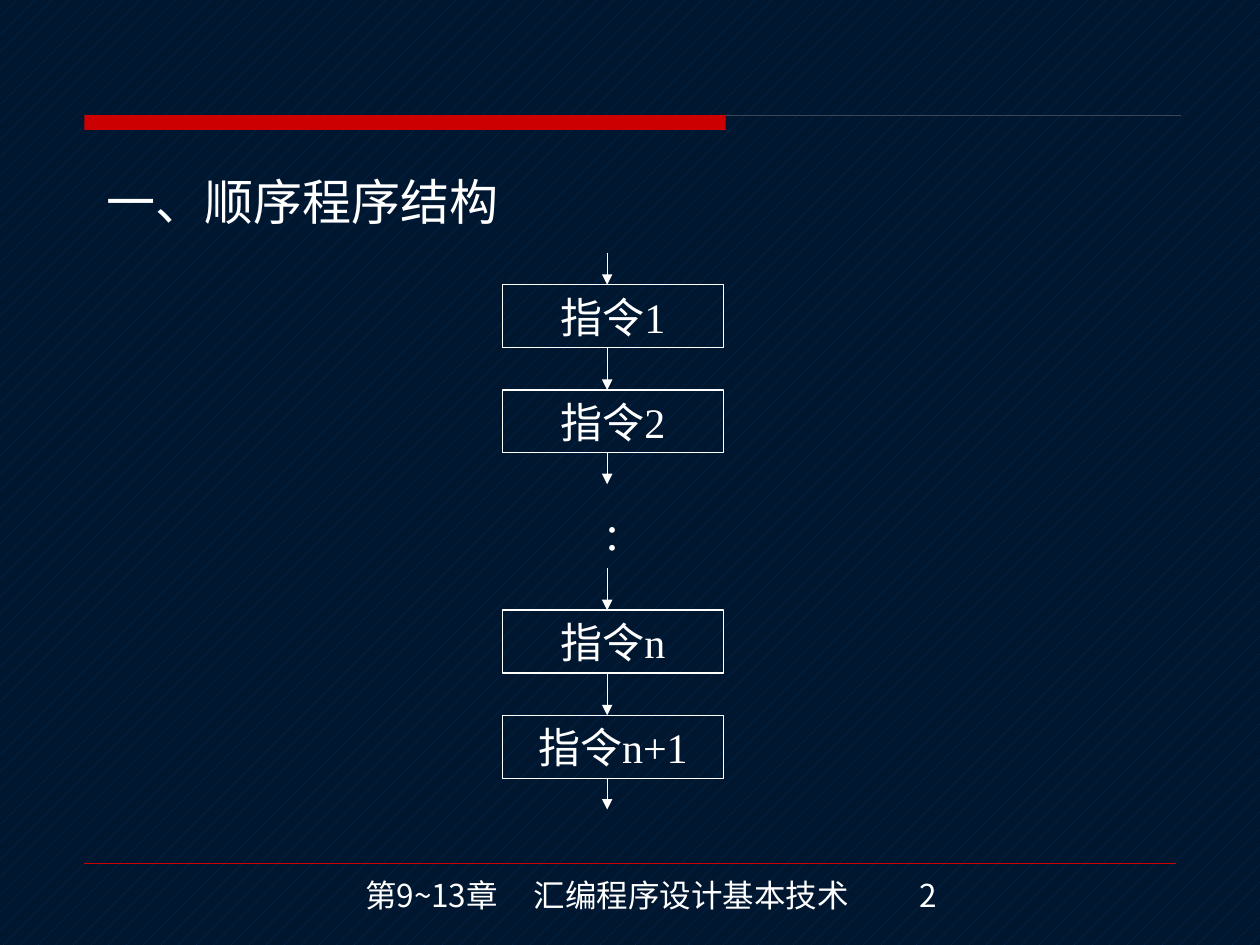
from dataclasses import dataclass

from lxml import etree
from pptx import Presentation
from pptx.dml.color import RGBColor
from pptx.enum.dml import MSO_PATTERN
from pptx.enum.shapes import MSO_CONNECTOR, MSO_SHAPE
from pptx.enum.text import MSO_ANCHOR, PP_ALIGN
from pptx.oxml.ns import qn
from pptx.util import Cm, Pt

PCT5 = MSO_PATTERN.PERCENT_5
STRAIGHT = MSO_CONNECTOR.STRAIGHT
RECT = MSO_SHAPE.RECTANGLE
MIDDLE = MSO_ANCHOR.MIDDLE
CENTER = PP_ALIGN.CENTER


@dataclass(frozen=True)
class Theme:
    back: RGBColor = RGBColor(0x00, 0x17, 0x2F)
    hatch: RGBColor = RGBColor(0x00, 0x33, 0x66)
    red: RGBColor = RGBColor(0xCC, 0x00, 0x00)
    rule: RGBColor = RGBColor(0x3A, 0x46, 0x56)
    white: RGBColor = RGBColor(0xFF, 0xFF, 0xFF)
    serif: str = "Times New Roman"
    sans: str = "Noto Sans CJK JP"
    heading: Pt = Pt(28)
    step: Pt = Pt(24)
    footer: Pt = Pt(18)


T = Theme()


def add_line(x1, y1, x2, y2, color, width, arrow=False):
    c = s.shapes.add_connector(STRAIGHT, Cm(x1), Cm(y1), Cm(x2), Cm(y2))
    c.line.color.rgb = color
    c.line.width = Pt(width)
    if arrow:
        etree.SubElement(c.line._get_or_add_ln(), qn("a:tailEnd"), type="triangle")
    etree.SubElement(c._element.spPr, qn("a:effectLst"))


def write(sp, text, size, font, align=None, wrap=True):
    tf = sp.text_frame
    tf.word_wrap = wrap
    p = tf.paragraphs[0]
    p.text = text
    p.alignment = align
    for r in p.runs:
        r.font.size = size
        r.font.name = font
        r.font.color.rgb = T.white
    return p


prs = Presentation()
prs.slide_width, prs.slide_height = Cm(25.4), Cm(19.05)
s = prs.slides.add_slide(prs.slide_layouts[6])
fill = s.background.fill
fill.patterned()
fill.pattern = PCT5
fill.fore_color.rgb = T.hatch
fill.back_color.rgb = T.back

add_line(1.7, 17.4, 23.7, 17.4, T.red, 0.25)
add_line(1.7, 2.32, 23.8, 2.32, T.rule, 0.5)
bar = s.shapes.add_shape(RECT, Cm(1.7), Cm(2.32), Cm(12.93), Cm(0.3))
bar.shadow.inherit = False
bar.fill.solid()
bar.fill.fore_color.rgb = T.red
bar.line.fill.background()

footer = s.shapes.add_textbox(Cm(7.11), Cm(17.53), Cm(13.2), Cm(1.02))
p = write(footer, "第9~13章\t汇编程序设计基本技术\t2", T.footer, T.sans)
tabs = etree.SubElement(p._p.get_or_add_pPr(), qn("a:tabLst"))
for pos in (3.4, 11.18):
    etree.SubElement(tabs, qn("a:tab"), pos=str(Cm(pos)), algn="l")
for r in p.runs:
    etree.SubElement(r.font._element, qn("a:ea"), typeface=T.sans)

heading = s.shapes.add_textbox(Cm(1.9), Cm(3.33), Cm(10.16), Cm(1.45))
write(heading, "一、顺序程序结构", T.heading, T.serif)

box_left, box_width, box_height = 10.13, 4.45, 1.27
gap, stub, arrow_x = 0.85, 0.63, 12.24
pairs = [(5.74, stub, ("指令1", "指令2")), (12.3, gap, ("指令n", "指令n+1"))]
for top, lead, labels in pairs:
    y = top
    for label in labels:
        sp = s.shapes.add_shape(RECT, Cm(box_left), Cm(y), Cm(box_width), Cm(box_height))
        sp.shadow.inherit = False
        sp.fill.background()
        sp.line.color.rgb = T.white
        sp.line.width = Pt(0.75)
        sp.text_frame.vertical_anchor = MIDDLE
        write(sp, label, T.step, T.serif, CENTER, False)
        add_line(arrow_x, y - lead, arrow_x, y, T.white, 0.75, True)
        y += box_height + gap
        lead = gap
    end = y - gap
    add_line(arrow_x, end, arrow_x, end + stub, T.white, 0.75, True)

dots = s.shapes.add_textbox(Cm(9.7), Cm(9.98), Cm(5.28), Cm(1.45))
write(dots, ":", T.heading, T.serif, CENTER)

prs.save("out.pptx")
